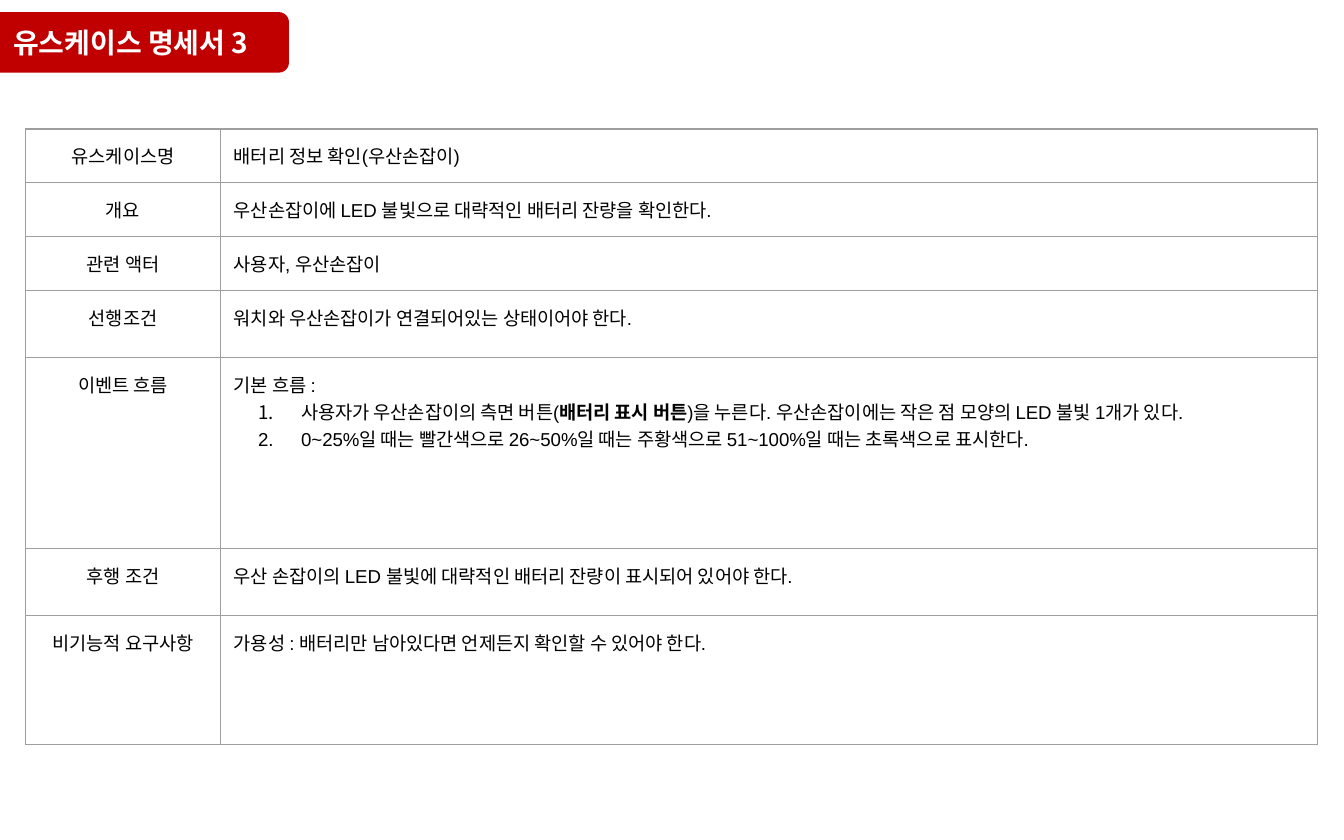
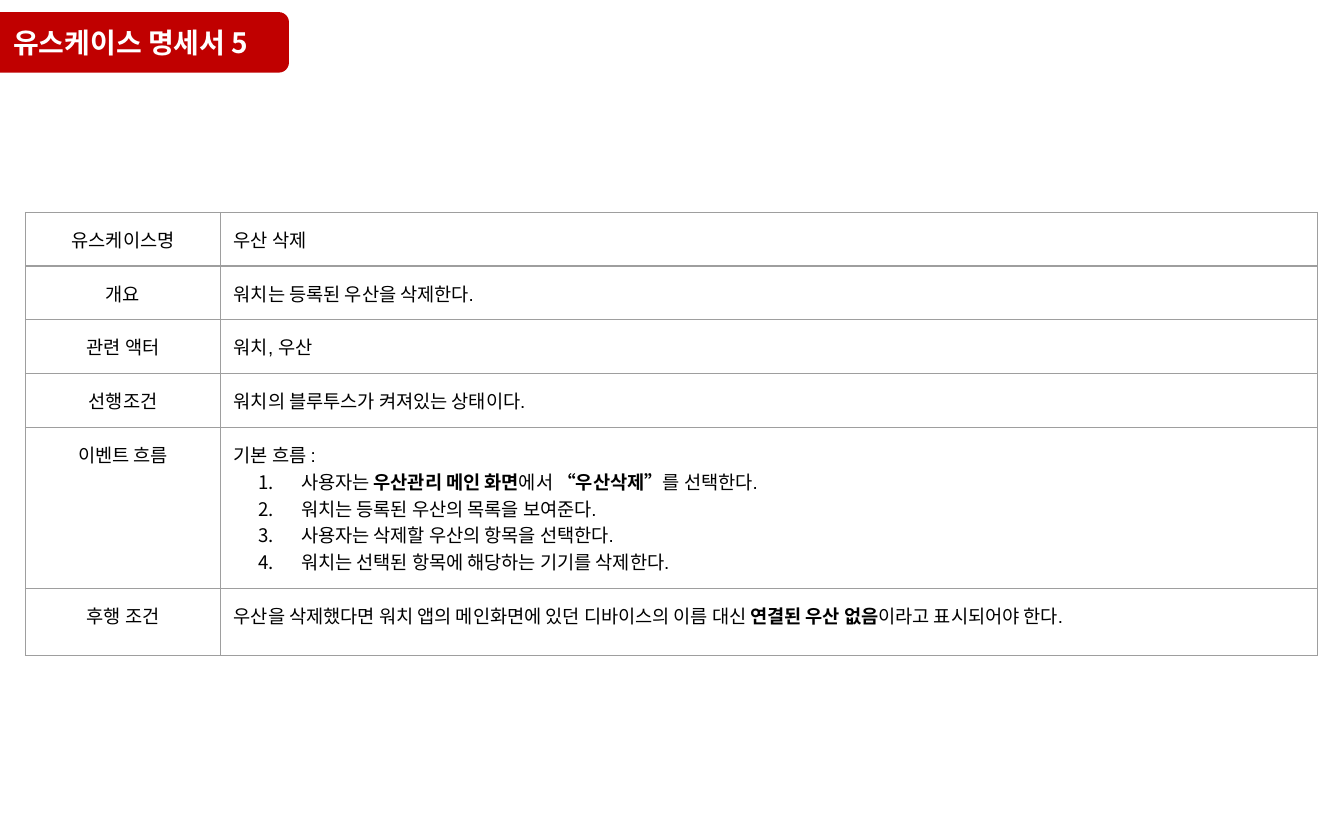
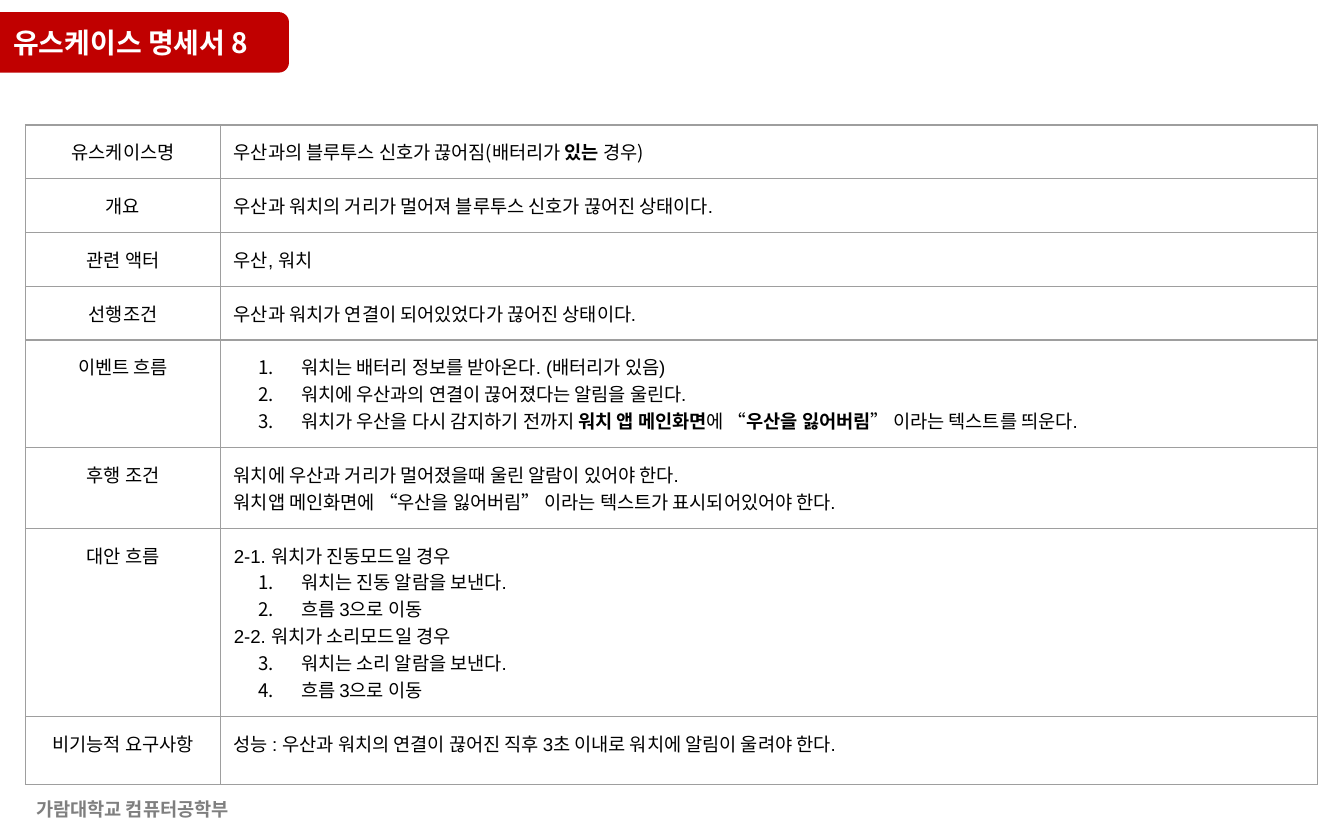
from lxml import etree
from pptx import Presentation
from pptx.dml.color import RGBColor
from pptx.enum.shapes import MSO_SHAPE as SHAPE
from pptx.enum.text import PP_ALIGN as ALIGN
from pptx.oxml.ns import qn
from pptx.util import Inches, Pt

COLORS = {"band": "C00000", "title": "FFFFFF", "text": "000000", "border": "9E9E9E", "footer": "7F7F7F"}
KOREAN = "Noto Sans CJK KR"
LATIN = "Arial"
COLUMNS = [1.45, 8.16]

USE_CASES = [
    {"number": 3, "top": 0.96, "rows": [
        ("유스케이스명", 0.4, ["배터리 정보 확인(우산손잡이)"]),
        ("개요", 0.4, ["우산손잡이에 LED 불빛으로 대략적인 배터리 잔량을 확인한다."]),
        ("관련 액터", 0.4, ["사용자, 우산손잡이"]),
        ("선행조건", 0.5, ["워치와 우산손잡이가 연결되어있는 상태이어야 한다."]),
        ("이벤트 흐름", 1.42, [
            "기본 흐름 :",
            "# 사용자가 우산손잡이의 측면 버튼(**배터리 표시 버튼**)을 누른다. 우산손잡이에는 작은 점 모양의 LED 불빛 1개가 있다.",
            "# 0~25%일 때는 빨간색으로 26~50%일 때는 주황색으로 51~100%일 때는 초록색으로 표시한다."]),
        ("후행 조건", 0.5, ["우산 손잡이의 LED 불빛에 대략적인 배터리 잔량이 표시되어 있어야 한다."]),
        ("비기능적 요구사항", 0.96, ["가용성 : 배터리만 남아있다면 언제든지 확인할 수 있어야 한다."]),
    ]},
    {"number": 5, "top": 1.58, "rows": [
        ("유스케이스명", 0.4, ["우산 삭제"]),
        ("개요", 0.4, ["워치는 등록된 우산을 삭제한다."]),
        ("관련 액터", 0.4, ["워치, 우산"]),
        ("선행조건", 0.4, ["워치의 블루투스가 켜져있는 상태이다."]),
        ("이벤트 흐름", 1.2, [
            "기본 흐름 :",
            "# 사용자는 **우산관리 메인 화면**에서 **“우산삭제”**를 선택한다.",
            "# 워치는 등록된 우산의 목록을 보여준다.",
            "# 사용자는 삭제할 우산의 항목을 선택한다.",
            "# 워치는 선택된 항목에 해당하는 기기를 삭제한다."]),
        ("후행 조건", 0.5, [
            "우산을 삭제했다면 워치 앱의 메인화면에 있던 디바이스의 이름 대신 **연결된 우산 없음**이라고 표시되어야 한다."]),
    ]},
    {"number": 8, "top": 0.93, "footer": "가람대학교 컴퓨터공학부", "name_font": KOREAN, "rows": [
        ("유스케이스명", 0.4, ["우산과의 블루투스 신호가 끊어짐(배터리가 **있는** 경우)"]),
        ("개요", 0.4, ["우산과 워치의 거리가 멀어져 블루투스 신호가 끊어진 상태이다."]),
        ("관련 액터", 0.4, ["우산, 워치"]),
        ("선행조건", 0.4, ["우산과 워치가 연결이 되어있었다가 끊어진 상태이다."]),
        ("이벤트 흐름", 0.8, [
            "# 워치는 배터리 정보를 받아온다. (배터리가 있음)",
            "# 워치에 우산과의 연결이 끊어졌다는 알림을 울린다.",
            "# 워치가 우산을 다시 감지하기 전까지 **워치 앱 메인화면**에 “**우산을 잃어버림**” 이라는 텍스트를 띄운다."]),
        ("후행 조건", 0.6, [
            "워치에 우산과 거리가 멀어졌을때 울린 알람이 있어야 한다.",
            "워치앱 메인화면에 “우산을 잃어버림” 이라는 텍스트가 표시되어있어야 한다."]),
        ("대안 흐름", 1.4, [
            "2-1. 워치가 진동모드일 경우",
            "# 워치는 진동 알람을 보낸다.",
            "# 흐름 3으로 이동",
            "2-2. 워치가 소리모드일 경우",
            "# 워치는 소리 알람을 보낸다.",
            "# 흐름 3으로 이동"]),
        ("비기능적 요구사항", 0.51, [
            "성능 : 우산과 워치의 연결이 끊어진 직후 3초 이내로 워치에 알림이 울려야 한다."]),
    ]},
]


def write_lines(tf, lines, size, color, font, align=ALIGN.LEFT, bold=False):
    for i, line in enumerate(lines):
        p = tf.paragraphs[0] if i == 0 else tf.add_paragraph()
        p.alignment = align
        p.font.size = Pt(size)
        p.font.name = font
        p.font.bold = bold
        p.font.color.rgb = RGBColor.from_string(COLORS[color])
        pPr = p._p.find(qn("a:pPr"))
        latin = pPr.find(qn("a:defRPr")).find(qn("a:latin"))
        ea = etree.Element(qn("a:ea"), typeface=KOREAN)
        latin.addnext(ea)
        if line.startswith("# "):
            line = line[2:]
            pPr.set("marL", str(Inches(0.5)))
            pPr.set("indent", str(Inches(-0.32)))
            buClr = etree.Element(qn("a:buClr"))
            etree.SubElement(buClr, qn("a:srgbClr"), val=COLORS[color])
            pPr.insert(0, buClr)
            buClr.addnext(etree.Element(qn("a:buAutoNum"), type="arabicPeriod"))
        for j, part in enumerate(line.split("**")):
            if part:
                r = p.add_run()
                r.text = part
                if j % 2:
                    r.font.bold = True


def add_label(s, box, inset_y, text, size, color, align):
    tf = s.shapes.add_textbox(*map(Inches, box)).text_frame
    tf.word_wrap = True
    tf.margin_left = tf.margin_right = Inches(0.1)
    tf.margin_top = tf.margin_bottom = Inches(inset_y)
    write_lines(tf, [text], size, color, KOREAN, align, bold=True)


prs = Presentation()
prs.slide_width, prs.slide_height = Inches(10), Inches(6.25)

for case in USE_CASES:
    s = prs.slides.add_slide(prs.slide_layouts[6])

    band = s.shapes.add_shape(SHAPE.ROUNDED_RECTANGLE, Inches(-0.16), Inches(0.09), Inches(2.31), Inches(0.45))
    band.shadow.inherit = False
    band.fill.solid()
    band.fill.fore_color.rgb = RGBColor.from_string(COLORS["band"])
    band.line.fill.background()
    add_label(s, (0, 0.09, 2.23, 0.27), 0.1, f"유스케이스 명세서 {case['number']}", 15, "title", ALIGN.LEFT)

    rows = case["rows"]
    height = sum(row[1] for row in rows)
    table = s.shapes.add_table(len(rows), len(COLUMNS), Inches(0.19), Inches(case["top"]),
                               Inches(sum(COLUMNS)), Inches(height)).table
    table.first_row = table.horz_banding = False
    for column, width in zip(table.columns, COLUMNS):
        column.width = Inches(width)

    for i, (label, row_height, lines) in enumerate(rows):
        table.rows[i].height = Inches(row_height)
        name_cell, detail_cell = table.rows[i].cells
        for cell in (name_cell, detail_cell):
            cell.margin_left = cell.margin_right = cell.margin_top = cell.margin_bottom = Inches(0.1)
            tcPr = cell._tc.get_or_add_tcPr()
            for side in ("lnL", "lnR", "lnT", "lnB"):
                ln = etree.SubElement(tcPr, qn(f"a:{side}"), w=str(Pt(0.75)))
                fill = etree.SubElement(ln, qn("a:solidFill"))
                etree.SubElement(fill, qn("a:srgbClr"), val=COLORS["border"])
            cell.fill.background()
        write_lines(name_cell.text_frame, [label], 10, "text", LATIN, ALIGN.CENTER)
        font = case.get("name_font", LATIN) if i == 0 else LATIN
        write_lines(detail_cell.text_frame, lines, 10, "text", font)

    if "footer" in case:
        add_label(s, (0, 5.89, 1.97, 0.27), 0.05, case["footer"], 10, "footer", ALIGN.CENTER)

prs.save("out.pptx")
